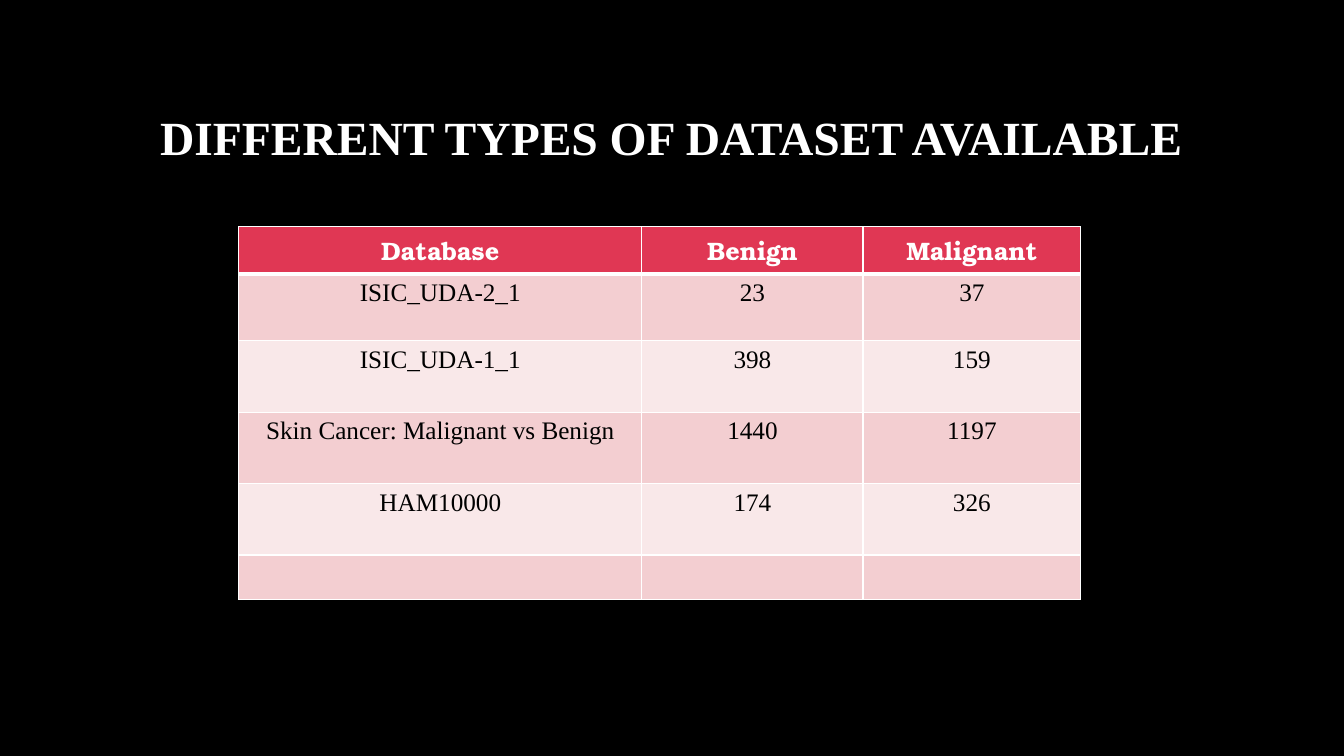
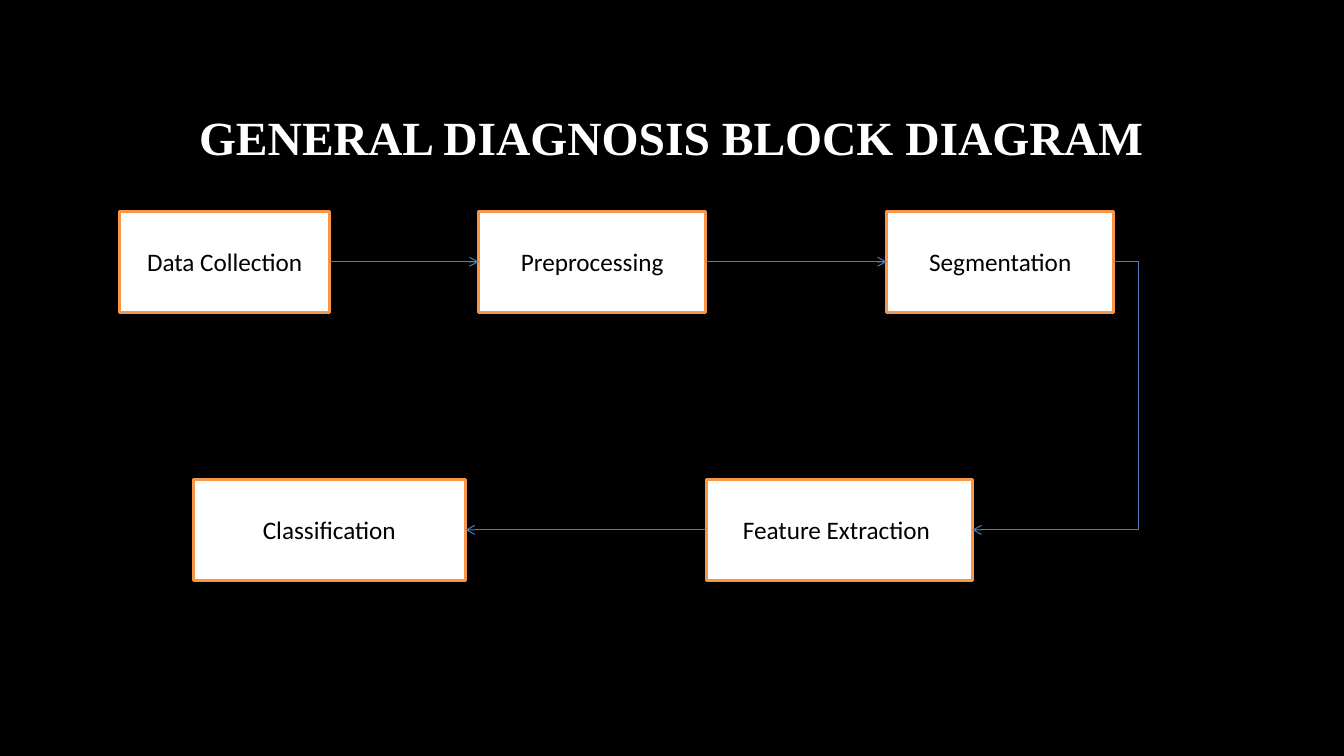
from lxml import etree
from pptx import Presentation
from pptx.dml.color import RGBColor
from pptx.enum import shapes, text
from pptx.oxml import ns
from pptx.util import Pt

BLACK, WHITE = "000000", "FFFFFF"
CRIMSON, ROSE, BLUSH = "E03754", "F3CED1", "F9E8E9"
ORANGE, BLUE = "F79646", "4B7EBC"
SERIF, HEADER_FONT, SANS = "Times New Roman", "TeX Gyre Bonum", "Calibri"
TITLE_BOX = (72, 48, 815, 104.5)
LEFT_SITE, RIGHT_SITE = 1, 3


def rgb(color):
    return RGBColor.from_string(color)


def paint(fill, color):
    fill.solid()
    fill.fore_color.rgb = rgb(color)


def add_xml(parent, tag, **attributes):
    return etree.SubElement(parent, ns.qn(tag), attributes)


def write(tf, words, font, size, color, bold=False):
    tf.text = words
    p = tf.paragraphs[0]
    p.alignment = text.PP_ALIGN.CENTER
    for r in p.runs:
        r.font.name, r.font.size, r.font.bold = font, Pt(size), bold
        r.font.color.rgb = rgb(color)
    return p


def add_titled_slide(prs, title):
    s = prs.slides.add_slide(prs.slide_layouts[5])
    sp = s.shapes.title
    sp.left, sp.top, sp.width, sp.height = map(Pt, TITLE_BOX)
    tf = sp.text_frame
    tf.vertical_anchor = text.MSO_ANCHOR.MIDDLE
    p = write(tf, title, SERIF, 34, WHITE, True)
    p.line_spacing = 0.9
    return s


def add_border(cell, side, width):
    ln = add_xml(cell._tc.get_or_add_tcPr(), "a:ln" + side, w=str(Pt(width)))
    add_xml(add_xml(ln, "a:solidFill"), "a:srgbClr", val=WHITE)


def add_data_table(s, box, rows, col_widths, row_heights):
    frame = s.shapes.add_table(len(rows), len(col_widths), *map(Pt, box))
    table = frame.table
    for column, width in zip(table.columns, col_widths):
        column.width = Pt(width)
    for i, (row, height) in enumerate(zip(table.rows, row_heights)):
        row.height = Pt(height)
        header = i == 0
        fill = CRIMSON if header else (BLUSH, ROSE)[i % 2]
        font, color = (HEADER_FONT, WHITE) if header else (SERIF, BLACK)
        for cell, words in zip(row.cells, rows[i]):
            widths = {"L": 1, "R": 1, "T": 3 if i == 1 else 1, "B": 3 if header else 1}
            for side, width in widths.items():
                add_border(cell, side, width)
            paint(cell.fill, fill)
            write(cell.text_frame, words, font, 18, color, header)


def add_block(s, box, label):
    sp = s.shapes.add_shape(shapes.MSO_SHAPE.RECTANGLE, *map(Pt, box))
    sp.shadow.inherit = False
    paint(sp.fill, WHITE)
    sp.line.color.rgb = rgb(ORANGE)
    sp.line.width = Pt(2)
    tf = sp.text_frame
    tf.vertical_anchor = text.MSO_ANCHOR.MIDDLE
    write(tf, label, SANS, 18, BLACK)
    return sp


def add_arrow(s, start, start_site, end, end_site, overhang=0):
    kind = shapes.MSO_CONNECTOR.ELBOW if overhang else shapes.MSO_CONNECTOR.STRAIGHT
    arrow = s.shapes.add_connector(kind, 0, 0, 0, 0)
    arrow.begin_connect(start, start_site)
    arrow.end_connect(end, end_site)
    arrow.line.color.rgb = rgb(BLUE)
    arrow.line.width = Pt(0.75)
    add_xml(arrow.line._get_or_add_ln(), "a:tailEnd", type="arrow")
    properties = arrow._element.spPr
    add_xml(properties, "a:effectLst")
    if overhang:
        bend = round(-100000 * Pt(overhang) / arrow.width)
        guides = properties.find(ns.qn("a:prstGeom")).find(ns.qn("a:avLst"))
        add_xml(guides, "a:gd", name="adj1", fmla=f"val {bend}")


def add_block_diagram(s, left, top):
    row_gap, height = 191.5, 72
    blocks = [
        ("Data Collection", 0, 0, 150),
        ("Preprocessing", 256.5, 0, 162),
        ("Segmentation", 548, 0, 162),
        ("Feature Extraction ", 419, row_gap, 190),
        ("Classification", 52.5, row_gap, 194.5),
    ]
    collection, preprocessing, segmentation, extraction, classification = [
        add_block(s, (left + x, top + y, width, height), label)
        for label, x, y, width in blocks
    ]
    add_arrow(s, collection, RIGHT_SITE, preprocessing, LEFT_SITE)
    add_arrow(s, preprocessing, RIGHT_SITE, segmentation, LEFT_SITE)
    add_arrow(s, segmentation, RIGHT_SITE, extraction, RIGHT_SITE, overhang=18)
    add_arrow(s, extraction, LEFT_SITE, classification, RIGHT_SITE)


def main():
    prs = Presentation()
    prs.slide_width, prs.slide_height = Pt(960), Pt(540)
    paint(prs.slide_master.background.fill, BLACK)

    s = add_titled_slide(prs, "DIFFERENT TYPES OF DATASET AVAILABLE")
    rows = [
        ("Database", "Benign", "Malignant"),
        ("ISIC_UDA-2_1", "23", "37"),
        ("ISIC_UDA-1_1", "398", "159"),
        ("Skin Cancer: Malignant vs Benign", "1440", "1197"),
        ("HAM10000", "174", "326"),
        ("", "", ""),
    ]
    add_data_table(s, (170.5, 162, 601.5, 266), rows,
                   (288, 158, 155.5), (33, 48, 51, 51, 51, 32))

    s = add_titled_slide(prs, "GENERAL DIAGNOSIS BLOCK DIAGRAM")
    add_block_diagram(s, 85.5, 151)

    prs.save("out.pptx")


if __name__ == "__main__":
    main()
